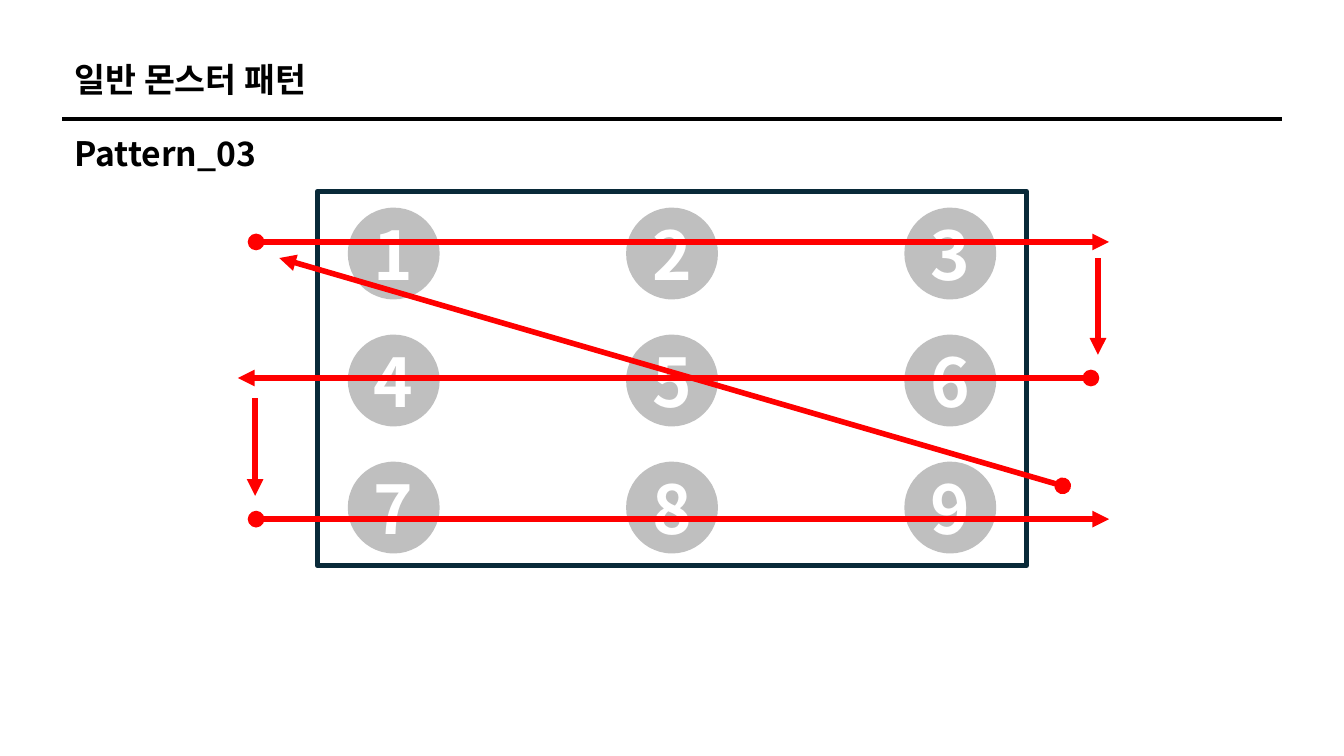
import pptx
import pptx.util
import pptx.dml.color
import pptx.enum.shapes
import pptx.enum.text
import pptx.oxml
import pptx.oxml.ns

Inches = pptx.util.Inches
Pt = pptx.util.Pt
RGBColor = pptx.dml.color.RGBColor
ShapeKind = pptx.enum.shapes.MSO_SHAPE
Align = pptx.enum.text.PP_ALIGN
Anchor = pptx.enum.text.MSO_ANCHOR

# Content
HEADINGS = [("일반 몬스터 패턴", 0.53), ("Pattern_03", 1.27)]  # text, top
NUMBER_ROWS = ["123", "456", "789"]
SWEEPS = [  # start, end of each attack path
    ((2.54, 2.4), (11, 2.4)),
    ((10.82, 3.75), (2.36, 3.75)),
    ((2.54, 5.15), (11, 5.15)),
    ((10.54, 4.82), (2.77, 2.56)),
]
STEPS = [  # moves down to the next row
    ((10.89, 2.56), (10.89, 3.52)),
    ((2.53, 3.95), (2.53, 4.92)),
]

# Layout and style
FONT = "Noto Sans CJK KR"
BLACK = RGBColor(0, 0, 0)
WHITE = RGBColor(255, 255, 255)
NAVY = RGBColor(0x09, 0x2A, 0x39)
RED = RGBColor(255, 0, 0)
GRID_LEFT, GRID_TOP = 3.46, 2.07
COLUMN_STEP, ROW_STEP = 2.76, 1.26
CIRCLE_SIZE = 0.89
ARENA = (3.15, 1.9, 7.03, 3.71)


def add_xml(parent, tag, **attributes):
    element = pptx.oxml.parse_xml(f"<a:{tag} {pptx.oxml.ns.nsdecls('a')}/>")
    for name, value in attributes.items():
        element.set(name, value)
    parent.append(element)


def write_text(shape, text, size, color, align, anchor):
    frame = shape.text_frame
    frame.text = text
    frame_format = {"word_wrap": True, "vertical_anchor": anchor,
                    "auto_size": pptx.enum.text.MSO_AUTO_SIZE.NONE}
    for name, value in frame_format.items():
        setattr(frame, name, value)
    paragraph = frame.paragraphs[0]
    for name, value in {"alignment": align, "space_before": Pt(0)}.items():
        setattr(paragraph, name, value)
    run = paragraph.runs[0]
    for name, value in {"name": FONT, "size": Pt(size), "bold": True}.items():
        setattr(run.font, name, value)
    run.font.color.rgb = color
    add_xml(run.font._element, "ea", typeface=FONT)
    return paragraph


def add_box(slide, kind, box, fill, line, width):
    shape = slide.shapes.add_shape(kind, *map(Inches, box))
    shape.shadow.inherit = False
    shape.fill.solid()
    shape.fill.fore_color.rgb = fill
    shape.line.color.rgb = line
    shape.line.width = Pt(width)
    return shape


def add_line(slide, start, end, color, width, head=None, tail=None):
    connector = slide.shapes.add_connector(
        pptx.enum.shapes.MSO_CONNECTOR.STRAIGHT, *map(Inches, start + end))
    connector.line.color.rgb = color
    connector.line.width = Pt(width)
    for tag, kind in (("headEnd", head), ("tailEnd", tail)):
        if kind:
            add_xml(connector.line._get_or_add_ln(), tag, type=kind)
    add_xml(connector._element.spPr, "effectLst")


def main():
    presentation = pptx.Presentation()
    presentation.slide_width = Inches(13.33)
    presentation.slide_height = Inches(7.5)
    slide = presentation.slides.add_slide(presentation.slide_layouts[1])

    # Headings and rule
    for placeholder, (text, top) in zip(slide.placeholders, HEADINGS):
        box = {"left": 0.64, "top": top, "width": 6.31, "height": 0.5}
        for name, value in box.items():
            setattr(placeholder, name, Inches(value))
        paragraph = write_text(placeholder, text, 24, BLACK, Align.LEFT, Anchor.TOP)
        properties = paragraph._p.get_or_add_pPr()
        properties.set("marL", "0")
        properties.set("indent", "0")
        add_xml(properties, "buNone")
    add_line(slide, (0.62, 1.18), (12.72, 1.18), BLACK, 2.75)

    # Numbered grid
    for row, numbers in enumerate(NUMBER_ROWS):
        for column, number in enumerate(numbers):
            box = (GRID_LEFT + column * COLUMN_STEP, GRID_TOP + row * ROW_STEP,
                   CIRCLE_SIZE, CIRCLE_SIZE)
            circle = add_box(slide, ShapeKind.OVAL, box, BLACK, BLACK, 1.5)
            write_text(circle, number, 48, WHITE, Align.CENTER, Anchor.MIDDLE)

    # Translucent arena over the grid
    arena = add_box(slide, ShapeKind.RECTANGLE, ARENA, WHITE, NAVY, 4)
    fill_color = arena._element.spPr.find(pptx.oxml.ns.qn("a:solidFill"))[0]
    add_xml(fill_color, "alpha", val="75000")

    # Attack paths
    for start, end in SWEEPS:
        add_line(slide, start, end, RED, 4, head="oval", tail="triangle")
    for start, end in STEPS:
        add_line(slide, start, end, RED, 4, tail="triangle")

    presentation.save("out.pptx")


if __name__ == "__main__":
    main()
